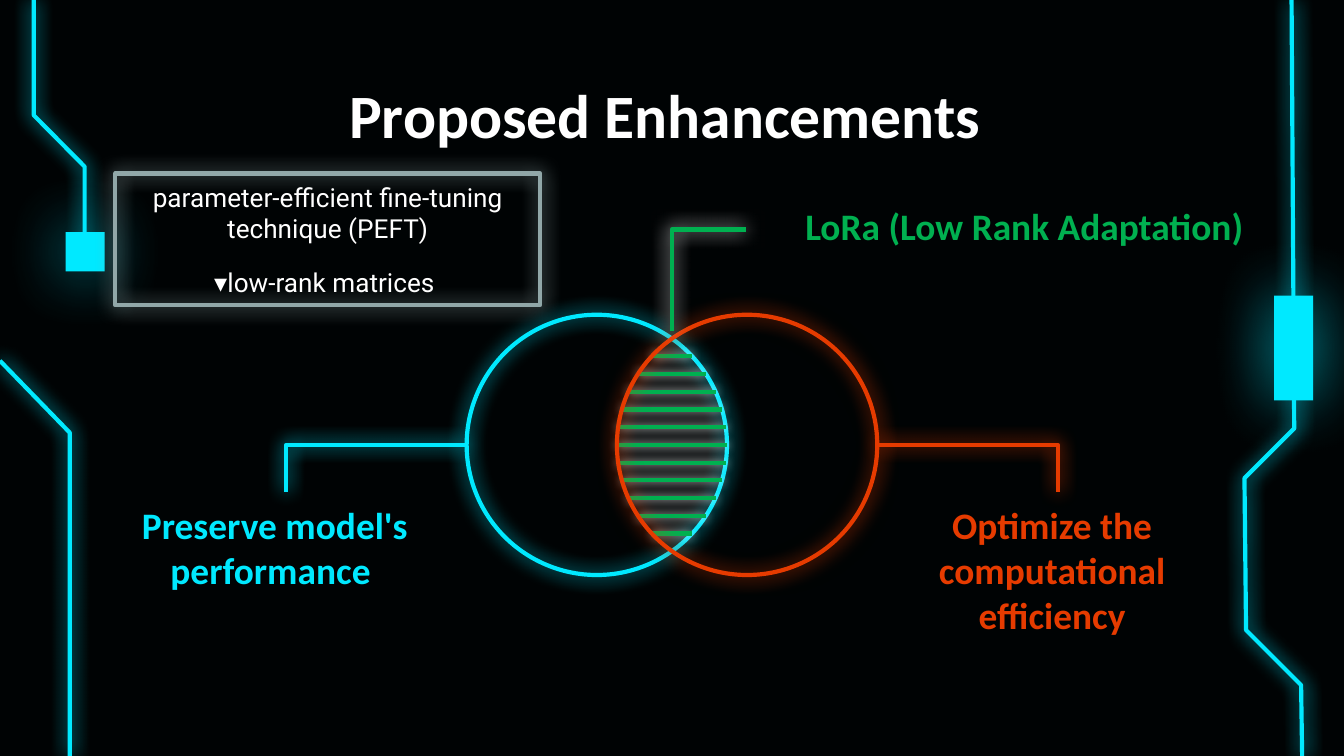
"""Build the Proposed Enhancements slide with its glowing Venn diagram."""
import math

import pptx
import pptx.dml.color
import pptx.enum.shapes
import pptx.enum.text
import pptx.oxml
import pptx.oxml.ns
import pptx.util

Cm, Pt = pptx.util.Cm, pptx.util.Pt
RGB = pptx.dml.color.RGBColor.from_string
KIND = pptx.enum.shapes.MSO_SHAPE
LINK = pptx.enum.shapes.MSO_CONNECTOR
MID = pptx.enum.text.MSO_ANCHOR.MIDDLE
TOP = pptx.enum.text.MSO_ANCHOR.TOP
HUES = {"back": "000304", "cyan": "00E9FF", "red": "E63B00",
        "green": "00B050", "grey": "91A7A8", "white": "FFFFFF"}


def glow(shape, hue, halo=None, blur=10.1, solid=False):
    """Colour the outline or the fill of a shape and add its halo."""
    if solid:
        shape.fill.solid()
        shape.fill.fore_color.rgb = RGB(HUES[hue])
        shape.line.fill.background()
    else:
        if hasattr(shape, "fill"):
            shape.fill.background()
        shape.line.color.rgb = RGB(HUES[hue])
        shape.line.width = Pt(2.25)
    alpha = 70000 if solid else 100000
    shape._element.spPr.append(pptx.oxml.parse_xml(
        f'<a:effectLst {pptx.oxml.ns.nsdecls("a")}>'
        f'<a:outerShdw blurRad="{Pt(blur)}" dist="0" algn="ctr" rotWithShape="0">'
        f'<a:srgbClr val="{HUES[halo or hue]}"><a:alpha val="{alpha}"/></a:srgbClr>'
        '</a:outerShdw></a:effectLst>'))


def write(shape, lines, hue, form, anchor=TOP, top=0):
    """Fill a text shape with centred paragraphs."""
    frame = shape.text_frame
    frame.text = "\n".join(lines)
    layout = {"word_wrap": True, "vertical_anchor": anchor,
              "auto_size": pptx.enum.text.MSO_AUTO_SIZE.NONE,
              "margin_left": Cm(0.25), "margin_right": Cm(0.25),
              "margin_top": Cm(top), "margin_bottom": Cm(0.25)}
    for name, value in layout.items():
        setattr(frame, name, value)
    for para in frame.paragraphs:
        para.alignment = pptx.enum.text.PP_ALIGN.CENTER
        for run in para.runs:
            run.font.color.rgb = RGB(HUES[hue])
            for name, value in form.items():
                setattr(run.font, name, value)


deck = pptx.Presentation()
deck.slide_width, deck.slide_height = Cm(25.4), Cm(14.29)
slide = deck.slides.add_slide(deck.slide_layouts[5])
slide.background.fill.solid()
slide.background.fill.fore_color.rgb = RGB(HUES["back"])
shapes = slide.shapes

traces = [
    [(24.41, 0), (24.46, 8.1), (23.52, 9.04), (23.55, 11.91), (24.59, 12.95), (24.61, 14.29)],
    [(1.6, 4.7), (1.6, 3.15), (0.64, 2.18), (0.64, 0)],
    [(1.32, 14.29), (1.32, 8.18), (0, 6.82)],
]
for trace in traces:
    spots = [(Cm(x), Cm(y)) for x, y in trace]
    pen = shapes.build_freeform(*spots[0])
    pen.add_line_segments(spots[1:], close=False)
    glow(pen.convert_to_shape(), "cyan")

for x, y, wide, high in [(24.08, 5.59, 0.74, 1.98), (1.24, 4.39, 0.74, 0.74)]:
    node = shapes.add_shape(KIND.RECTANGLE, Cm(x), Cm(y), Cm(wide), Cm(high))
    glow(node, "cyan", blur=36, solid=True)

title = shapes.title
title.left, title.top, title.width, title.height = Cm(1.98), Cm(1.5), Cm(21.44), Cm(1.32)
write(title, ["Proposed Enhancements "], "white",
      {"name": "Calibri", "size": Pt(33), "bold": True}, MID, 0.25)

labels = [
    (1.98, 9.5, 6.43, "cyan", "Preserve model's performance "),
    (16.99, 9.5, 5.79, "red", "Optimize the computational efficiency"),
    (14.1, 3.84, 10.52, "green", "LoRa (Low Rank Adaptation)"),
]
for x, y, wide, hue, words in labels:
    label = shapes.add_textbox(Cm(x), Cm(y), Cm(wide), Cm(1.07))
    write(label, [words], hue, {"name": "Calibri", "size": Pt(20), "bold": True})

area = Cm(2.18), Cm(3.28), Cm(8.03), Cm(2.49)
glow(shapes.add_shape(KIND.RECTANGLE, *area), "grey")
note = shapes.add_textbox(*area)
write(note, ["parameter-efficient fine-tuning technique (PEFT)", "▾low-rank matrices "],
      "white", {"name": "Roboto", "size": Pt(14)}, MID, 0.25)
note.text_frame.paragraphs[0].space_after = Pt(12)

mid_x, mid_y, radius, shift = 12.7, 8.41, 2.46, 1.42
ring = Cm(mid_y - radius), Cm(2 * radius), Cm(2 * radius)
glow(shapes.add_shape(KIND.OVAL, Cm(mid_x - shift - radius), *ring), "cyan")
for step in range(-5, 6):
    rise = step * 0.335
    half = math.sqrt(radius ** 2 - rise ** 2) - shift
    y = Cm(mid_y + rise)
    hatch = shapes.add_connector(LINK.STRAIGHT, Cm(mid_x - half), y, Cm(mid_x + half), y)
    glow(hatch, "green", "white", 5.6)
glow(shapes.add_shape(KIND.OVAL, Cm(mid_x + shift - radius), *ring), "red")

bends = [
    (8.82, mid_y, 5.41, 9.3, "cyan", "cyan"),
    (16.58, mid_y, 19.99, 9.3, "red", "red"),
    (14.1, 4.34, mid_x, 6.25, "green", "white"),
]
for x, y, end_x, end_y, hue, halo in bends:
    bend = shapes.add_connector(LINK.ELBOW, Cm(x), Cm(y), Cm(end_x), Cm(end_y))
    bend._element.spPr.prstGeom.set("prst", "bentConnector2")
    glow(bend, hue, halo)

deck.save("out.pptx")
